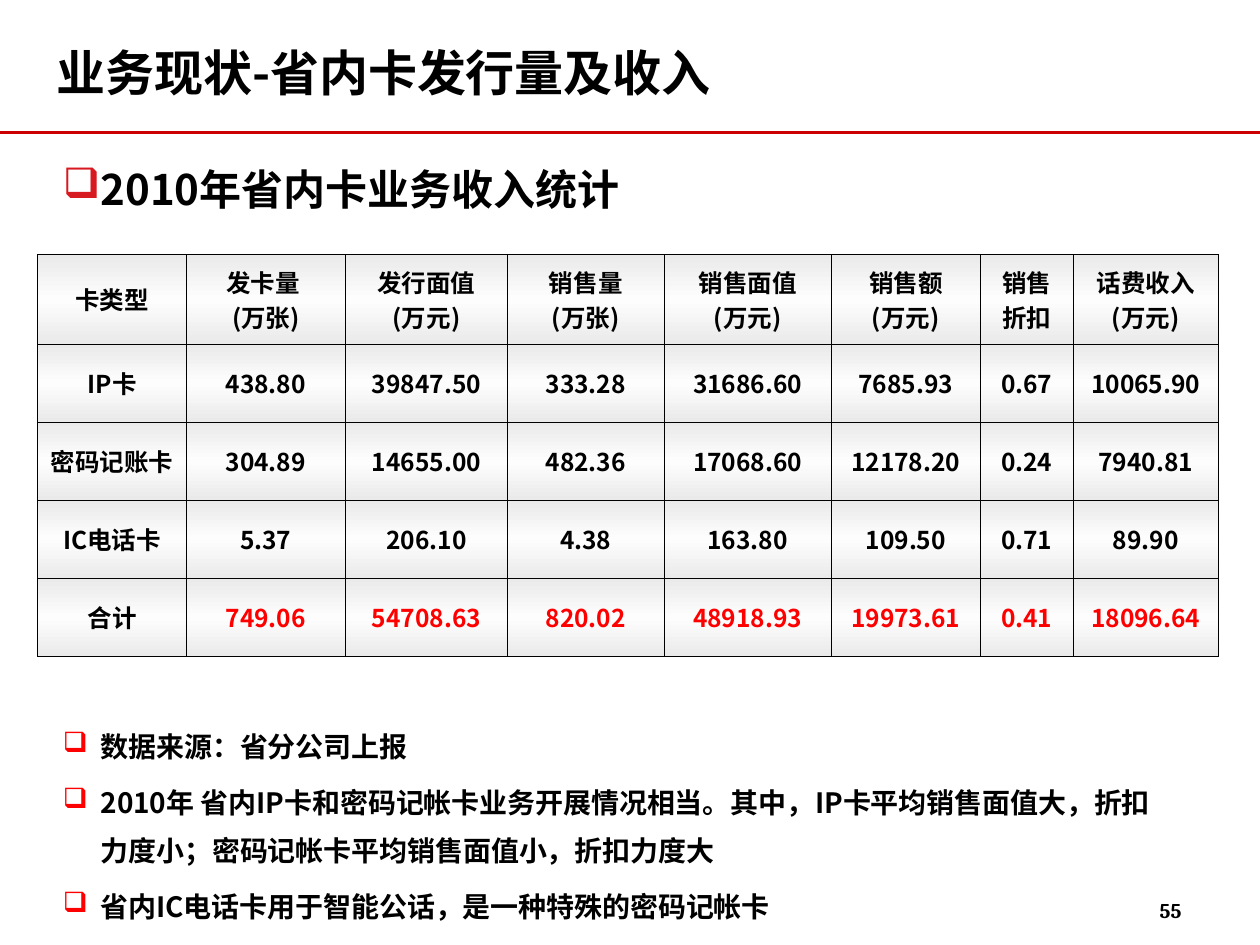
from lxml import etree
from pptx import Presentation
from pptx.dml.color import RGBColor
from pptx.enum.shapes import MSO_CONNECTOR
from pptx.enum.text import MSO_ANCHOR, PP_ALIGN
from pptx.oxml import parse_xml
from pptx.oxml.ns import nsdecls, qn
from pptx.util import Inches, Pt

STRAIGHT = MSO_CONNECTOR.STRAIGHT
MIDDLE, TOP = MSO_ANCHOR.MIDDLE, MSO_ANCHOR.TOP
LEFT, CENTER = PP_ALIGN.LEFT, PP_ALIGN.CENTER

COLORS = {
    "text": "000000",
    "rule": "CC0000",
    "heading_bullet": "D71A20",
    "red": "FF0000",
    "cell_edge": "EAEAEA",
    "cell_middle": "FDFDFD",
}
CJK_FONT, NUMBER_FONT = "Noto Sans CJK SC", "Cambria"

COLUMN_WIDTHS = [1.18, 1.26, 1.29, 1.24, 1.33, 1.18, 0.74, 1.15]
HEADER_HEIGHT, ROW_HEIGHT = 0.71, 0.62
CARD_STATISTICS = [
    ["卡类型", "发卡量 \n(万张)", "发行面值\n(万元)", "销售量\n(万张)",
     "销售面值\n(万元)", "销售额\n(万元)", "销售折扣", "话费收入\n(万元)"],
    ["IP卡", "438.80", "39847.50", "333.28", "31686.60", "7685.93", "0.67", "10065.90"],
    ["密码记账卡", "304.89", "14655.00", "482.36", "17068.60", "12178.20", "0.24", "7940.81"],
    ["IC电话卡", "5.37", "206.10", "4.38", "163.80", "109.50", "0.71", "89.90"],
    ["合计", "749.06", "54708.63", "820.02", "48918.93", "19973.61", "0.41", "18096.64"],
]
NOTES = [
    "数据来源：省分公司上报",
    "2010年 省内IP卡和密码记帐卡业务开展情况相当。其中，IP卡平均销售面值大，"
    "折扣力度小；密码记帐卡平均销售面值小，折扣力度大",
    "省内IC电话卡用于智能公话，是一种特殊的密码记帐卡",
]


def add_bullet(paragraph, color):
    """Give a paragraph a hanging square bullet."""
    properties = paragraph._p.get_or_add_pPr()
    properties.set("marL", str(Inches(0.3)))
    properties.set("indent", str(Inches(-0.3)))
    bullet_color = etree.SubElement(properties, qn("a:buClr"))
    etree.SubElement(bullet_color, qn("a:srgbClr"), val=COLORS[color])
    etree.SubElement(properties, qn("a:buChar"), char="❑")


def style_paragraph(paragraph, size, align=LEFT, color="text", font_name=CJK_FONT):
    """Set alignment and a bold font for Latin and East Asian text."""
    paragraph.alignment = align
    font = paragraph.font
    font.size = Pt(size)
    font.bold = True
    font.color.rgb = RGBColor.from_string(COLORS[color])
    font.name = font_name
    defaults = paragraph._p.pPr.find(qn("a:defRPr"))
    etree.SubElement(defaults, qn("a:ea"), typeface=font_name)


def add_text(slide, box, lines, size, bullet=None, anchor=TOP, align=LEFT,
             font_name=CJK_FONT):
    """Add a wrapped text box with one paragraph per line and return its frame."""
    frame = slide.shapes.add_textbox(*map(Inches, box)).text_frame
    frame.word_wrap = True
    frame.vertical_anchor = anchor
    frame.text = "\n".join(lines)
    for paragraph in frame.paragraphs:
        if bullet:
            add_bullet(paragraph, bullet)
        style_paragraph(paragraph, size, align, font_name=font_name)
    return frame


def add_rule(slide, y):
    """Draw the full-width rule under the title."""
    rule = slide.shapes.add_connector(STRAIGHT, 0, Inches(y), Inches(10), Inches(y))
    rule.line.color.rgb = RGBColor.from_string(COLORS["rule"])
    rule.line.width = Pt(1.5)
    etree.SubElement(rule._element.spPr, qn("a:effectLst"))


def paint_cell(cell):
    """Give a cell thin borders and a vertical three-stop gradient."""
    properties = cell._tc.get_or_add_tcPr()
    for side in ("lnL", "lnR", "lnT", "lnB"):
        properties.append(parse_xml(
            f'<a:{side} {nsdecls("a")} w="{Pt(0.45)}"><a:solidFill>'
            f'<a:srgbClr val="{COLORS["text"]}"/></a:solidFill></a:{side}>'))
    stops = "".join(
        f'<a:gs pos="{position}"><a:srgbClr val="{COLORS[color]}"/></a:gs>'
        for position, color in ((0, "cell_edge"), (50000, "cell_middle"), (100000, "cell_edge")))
    properties.append(parse_xml(
        f'<a:gradFill {nsdecls("a")}><a:gsLst>{stops}</a:gsLst>'
        '<a:lin ang="5400000" scaled="0"/></a:gradFill>'))


def add_statistics(slide):
    """Add the card table with its totals in red."""
    row_count, column_count = len(CARD_STATISTICS), len(COLUMN_WIDTHS)
    height = HEADER_HEIGHT + ROW_HEIGHT * (row_count - 1)
    table = slide.shapes.add_table(
        row_count, column_count, Inches(0.3), Inches(2.02),
        Inches(sum(COLUMN_WIDTHS)), Inches(height)).table
    table.first_row = table.horz_banding = False
    for column, width in zip(table.columns, COLUMN_WIDTHS):
        column.width = Inches(width)
    for row_index, values in enumerate(CARD_STATISTICS):
        table.rows[row_index].height = Inches(ROW_HEIGHT if row_index else HEADER_HEIGHT)
        for column_index, value in enumerate(values):
            cell = table.cell(row_index, column_index)
            is_number = row_index > 0 and column_index > 0
            is_total = is_number and row_index == row_count - 1
            cell.text = value
            cell.vertical_anchor = MIDDLE
            cell.margin_left = cell.margin_right = Inches(0.01 if is_number else 0.1)
            paint_cell(cell)
            for paragraph in cell.text_frame.paragraphs:
                style_paragraph(paragraph, 14, CENTER, "red" if is_total else "text")


def add_notes(slide):
    """Add the bulleted remarks below the table."""
    frame = add_text(slide, (0.4, 5.57, 9.01, 1.82), NOTES, 16, bullet="red")
    frame.margin_top = Inches(0.1)
    for index, paragraph in enumerate(frame.paragraphs):
        paragraph.line_spacing = 1.45
        paragraph.space_before = Pt(4 if index else 0)


def main():
    """Build and save the slide."""
    presentation = Presentation()
    presentation.slide_width, presentation.slide_height = Inches(10), Inches(7.5)
    slide = presentation.slides.add_slide(presentation.slide_layouts[6])
    add_rule(slide, 1.05)
    add_text(slide, (0.35, 0.21, 7.64, 0.73), ["业务现状-省内卡发行量及收入"], 28, anchor=MIDDLE)
    page_number = add_text(slide, (9.04, 7.02, 0.5, 0.4), ["55"], 12, anchor=MIDDLE,
                           align=CENTER, font_name=NUMBER_FONT)
    page_number.margin_left = page_number.margin_right = Inches(0.06)
    add_text(slide, (0.4, 1.25, 9.17, 0.59), ["2010年省内卡业务收入统计"], 24,
             bullet="heading_bullet")
    add_notes(slide)
    add_statistics(slide)
    presentation.save("out.pptx")


if __name__ == "__main__":
    main()
